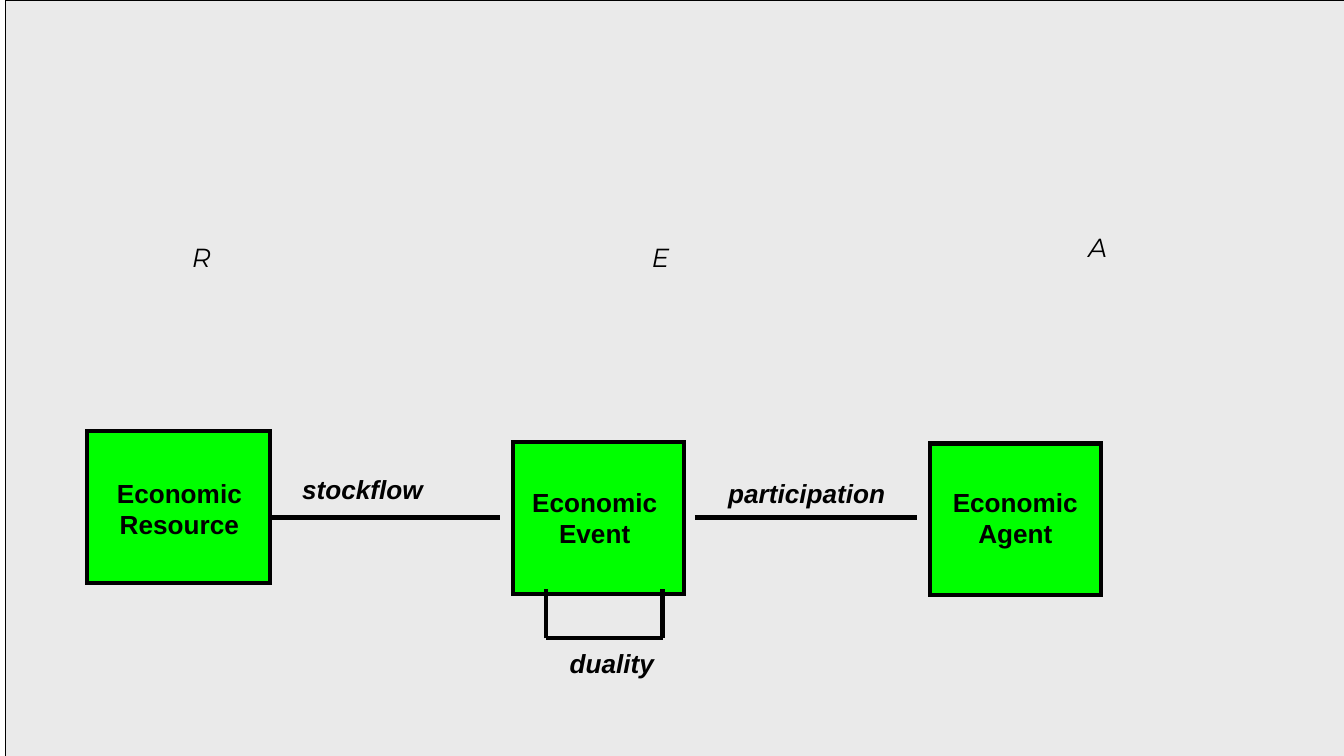
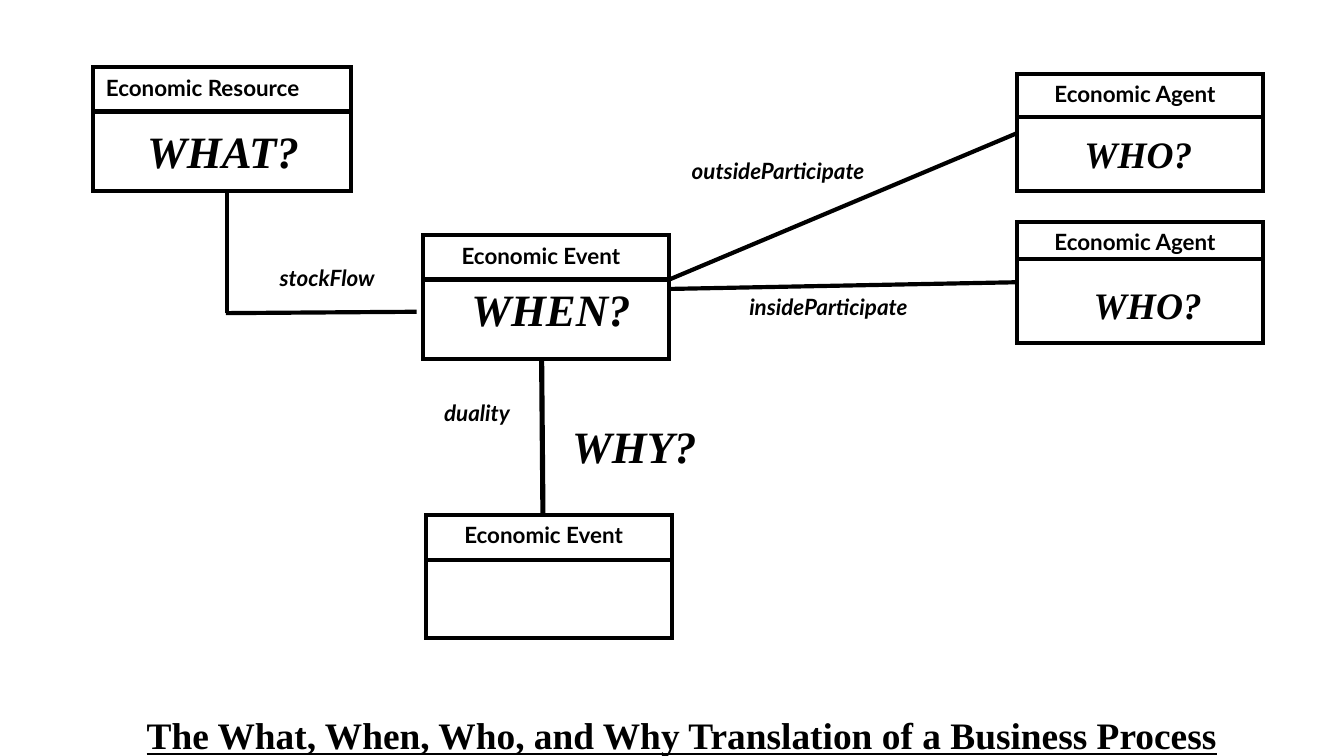
from dataclasses import dataclass
from lxml.etree import SubElement
from pptx import Presentation
from pptx.dml.color import RGBColor
from pptx.enum.shapes import MSO_CONNECTOR, MSO_SHAPE
from pptx.enum.text import MSO_ANCHOR, PP_ALIGN
from pptx.oxml.ns import qn
from pptx.shapes.base import BaseShape
from pptx.slide import Slide
from pptx.util import Emu, Pt

# Shared scale and look: 100 px to the inch, slides 16 by 9
SCALE = 9144
WIDE = 1000
BLACK, GREEN, GREY = "000000", "00FF00", "EAEAEA"
THIN, THICK, BOLD = 0.75, 2.25, 2.75
LEFT, MID = PP_ALIGN.LEFT, PP_ALIGN.CENTER
RECT, CARD = MSO_SHAPE.RECTANGLE, MSO_SHAPE.FLOWCHART_PROCESS

NAME = {"name": "Arial", "size": Pt(14), "bold": True}
LINK = {**NAME, "italic": True}
MARK = {"name": "Montserrat", "size": Pt(14), "italic": True}
HEAD = {"name": "Lato", "size": Pt(12), "bold": True}
ROLE = {**HEAD, "italic": True}
TITLE = {"name": "Times New Roman", "size": Pt(20), "bold": True, "underline": True}
ASK = {**TITLE, "underline": False, "italic": True}
SHOUT = {**ASK, "size": Pt(24)}


@dataclass
class Box:
    x: int
    y: int
    w: int
    h: int


@dataclass
class Label:
    text: str
    box: Box
    font: dict
    align: PP_ALIGN = MID


@dataclass
class Line:
    x1: int
    y1: int
    x2: int
    y2: int
    weight: float = THICK


@dataclass
class Entry:
    name: str
    box: Box
    rule: int  # drop from the top edge to the divider
    align: PP_ALIGN = MID


def px(count: int) -> Emu:
    return Emu(count * SCALE)


def tint(code: str) -> RGBColor:
    return RGBColor.from_string(code)


def place(box: Box) -> list[Emu]:
    return [px(side) for side in (box.x, box.y, box.w, box.h)]


def draw_box(slide: Slide, box: Box, fill: str | None = None,
             weight: float = THICK, kind: MSO_SHAPE = RECT) -> BaseShape:
    shape = slide.shapes.add_shape(kind, *place(box))
    shape.shadow.inherit = False
    if fill:
        shape.fill.solid()
        shape.fill.fore_color.rgb = tint(fill)
    else:
        shape.fill.background()
    if weight:
        shape.line.color.rgb = tint(BLACK)
        shape.line.width = Pt(weight)
        # Sharp corners
        SubElement(shape._element.spPr.find(qn("a:ln")), qn("a:miter"), lim="800000")
    else:
        shape.line.fill.background()
    return shape


def write(shape: BaseShape, label: Label) -> None:
    frame = shape.text_frame
    frame.word_wrap = True
    frame.vertical_anchor = MSO_ANCHOR.TOP
    part = frame.paragraphs[0]
    part.alignment = label.align
    run = part.add_run()
    run.text = label.text
    for key, value in label.font.items():
        setattr(run.font, key, value)
    run.font.color.rgb = tint(BLACK)


def draw_label(slide: Slide, label: Label) -> None:
    write(slide.shapes.add_textbox(*place(label.box)), label)


def draw_line(slide: Slide, line: Line) -> None:
    ends = [px(end) for end in (line.x1, line.y1, line.x2, line.y2)]
    wire = slide.shapes.add_connector(MSO_CONNECTOR.STRAIGHT, *ends)
    wire.line.color.rgb = tint(BLACK)
    wire.line.width = Pt(line.weight)
    SubElement(wire._element.spPr, qn("a:effectLst"))


def draw_entry(slide: Slide, entry: Entry) -> None:
    box = entry.box
    draw_box(slide, box, kind=CARD)
    name = Box(box.x, box.y, box.w - 8, 30)
    draw_label(slide, Label(entry.name, name, HEAD, entry.align))
    y = box.y + entry.rule
    draw_line(slide, Line(box.x, y, box.x + box.w, y))


# Slide 1: resource, event and agent
BLOCKS = [Box(65, 321, 136, 113), Box(382, 329, 127, 113), Box(692, 330, 127, 113)]
REA_LINES = [
    Line(200, 385, 372, 385),
    Line(517, 385, 682, 385),
    # Duality loop under the event
    Line(406, 475, 406, 438),
    Line(493, 475, 493, 438),
    Line(406, 475, 493, 475),
]
SOURCE = Label("Economic Resource", Box(73, 350, 121, 54), NAME)
REA_LABELS = [
    Label("Economic Event", Box(382, 357, 121, 54), NAME),
    Label("Economic Agent", Box(692, 357, 127, 54), NAME),
    Label("stockflow", Box(215, 347, 136, 32), LINK, LEFT),
    Label("participation", Box(532, 350, 150, 32), LINK, LEFT),
    Label("duality", Box(414, 477, 91, 32), LINK, LEFT),
    Label("R", Box(133, 175, 83, 94), MARK, LEFT),
    Label("E", Box(475, 175, 58, 92), MARK, LEFT),
    Label("A", Box(800, 167, 75, 92), MARK, LEFT),
]


def build_rea(slide: Slide) -> None:
    draw_box(slide, Box(4, 0, 1000, 750), GREY, THIN)
    for block in BLOCKS:
        draw_box(slide, block, GREEN)
    write(draw_box(slide, SOURCE.box, GREEN, 0), SOURCE)
    for line in REA_LINES:
        draw_line(slide, line)
    for label in REA_LABELS:
        draw_label(slide, label)


# Slide 2: the questions behind a process
ENTRIES = [
    Entry("Economic Resource", Box(69, 50, 192, 92), 33, LEFT),
    Entry("Economic Agent", Box(757, 55, 183, 87), 32),
    Entry("Economic Agent", Box(757, 165, 183, 90), 28),
    Entry("Economic Event", Box(315, 175, 183, 92), 33),
    Entry("Economic Event", Box(317, 383, 183, 92), 34),
]
ASK_LINES = [
    Line(498, 208, 757, 99),
    Line(498, 215, 757, 210),
    Line(310, 232, 168, 233),
    Line(169, 233, 169, 142),
    Line(403, 267, 404, 383, BOLD),
]
ASK_LABELS = [
    Label("stockFlow", Box(177, 192, 133, 30), ROLE),
    Label("outsideParticipate", Box(483, 112, 192, 30), ROLE),
    Label("insideParticipate", Box(533, 213, 167, 30), ROLE),
    Label("duality", Box(315, 292, 80, 30), ROLE),
    Label("WHAT?", Box(64, 87, 204, 50), SHOUT),
    Label("WHEN?", Box(308, 205, 204, 50), SHOUT),
    Label("WHY?", Box(411, 307, 122, 50), SHOUT),
    Label("WHO?", Box(785, 93, 124, 44), ASK),
    Label("WHO?", Box(792, 205, 124, 44), ASK),
    Label("The What, When, Who, and Why Translation of a Business Process",
          Box(8, 525, 999, 62), TITLE),
]


def build_asks(slide: Slide) -> None:
    for entry in ENTRIES:
        draw_entry(slide, entry)
    for line in ASK_LINES:
        draw_line(slide, line)
    for label in ASK_LABELS:
        draw_label(slide, label)


def main() -> None:
    deck = Presentation()
    deck.slide_width = px(WIDE)
    deck.slide_height = Emu(px(WIDE) * 9 // 16)
    blank = deck.slide_layouts[6]
    for build in (build_rea, build_asks):
        build(deck.slides.add_slide(blank))
    deck.save("out.pptx")


if __name__ == "__main__":
    main()
